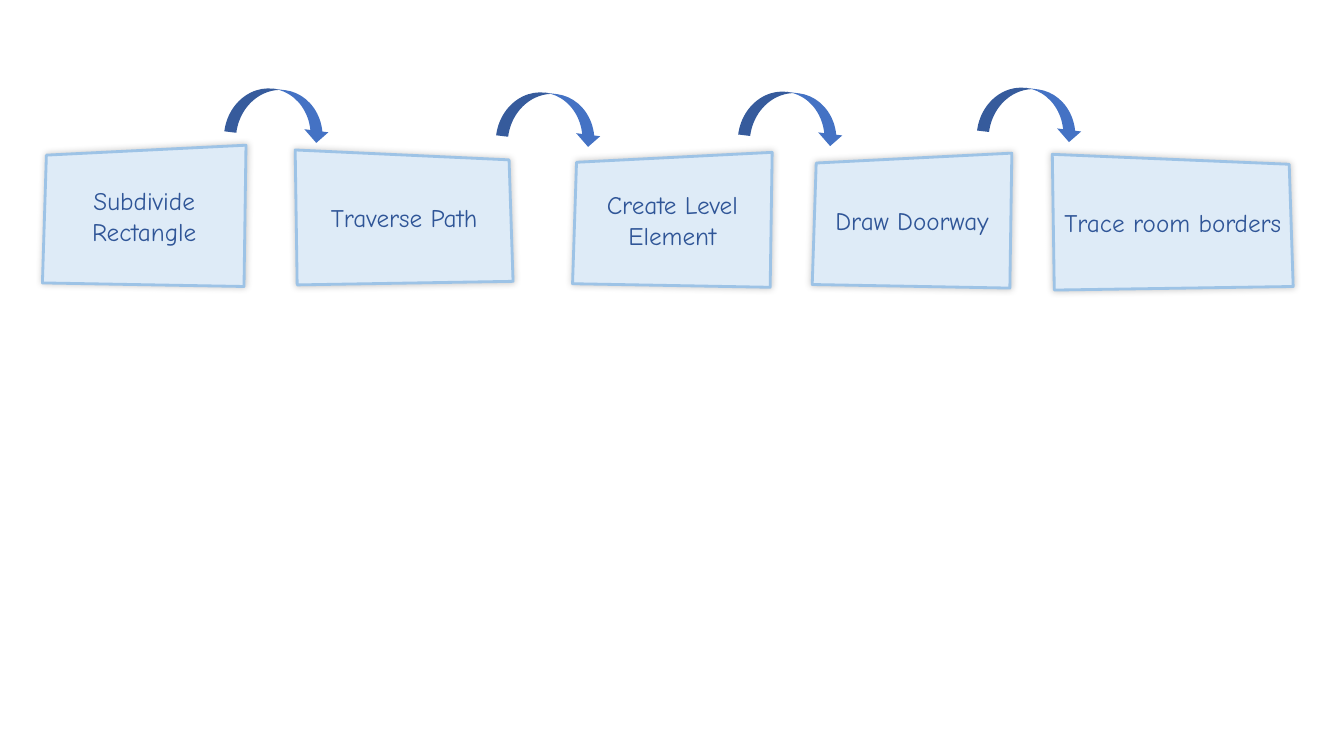
from lxml import etree
from pptx import Presentation
from pptx.dml.color import RGBColor
from pptx.enum.shapes import MSO_SHAPE
from pptx.enum.text import MSO_ANCHOR, PP_ALIGN
from pptx.oxml.ns import qn
from pptx.util import Cm, Pt

CURVED_ARROW = MSO_SHAPE.CURVED_DOWN_ARROW
MIDDLE = MSO_ANCHOR.MIDDLE
CENTER = PP_ALIGN.CENTER
FONT = "Comic Neue"
COLORS = {
    "panel": "DEEBF7",
    "border": "9DC3E6",
    "text": "2F5597",
    "arrow": "4472C4",
    "shadow": "000000",
}
STEPS = [
    ("Subdivide Rectangle", 1.07, 3.66, 5.13, 3.56, False),
    ("Traverse Path", 7.44, 3.78, 5.49, 3.4, True),
    ("Create Level Element", 14.43, 3.84, 5.03, 3.4, False),
    ("Draw Doorway", 20.47, 3.86, 5.03, 3.4, False),
    ("Trace room borders", 26.52, 3.89, 6.07, 3.42, True),
]
ARROWS = [(5.72, 2.26), (12.57, 2.36), (18.67, 2.34), (24.69, 2.24)]


def color(name):
    """Return the named colour."""
    return RGBColor.from_string(COLORS[name])


def add_glow_shadow(shape):
    """Give the shape a soft shadow on all sides."""
    shape.shadow.inherit = False
    effects = shape._element.spPr.find(qn("a:effectLst"))
    shadow = etree.SubElement(effects, qn("a:outerShdw"), blurRad=str(Pt(5)), dist="0", dir="0")
    tone = etree.SubElement(shadow, qn("a:srgbClr"), val=COLORS["shadow"])
    etree.SubElement(tone, qn("a:alpha"), val="21000")


def add_panel(page, label, left, top, width, height, mirrored):
    """Draw a skewed panel with a label; mirrored panels are tall on the left."""
    corners = [(0.1, 0.25), (0, height - 0.09), (width - 0.05, height), (width, 0)]
    if mirrored:
        corners = [(width - x, y) for x, y in corners]
    points = [(Cm(left + x), Cm(top + y)) for x, y in corners]
    builder = page.shapes.build_freeform(*points[0])
    builder.add_line_segments(points[1:], close=True)
    panel = builder.convert_to_shape()
    panel.fill.solid()
    panel.fill.fore_color.rgb = color("panel")
    panel.line.color.rgb = color("border")
    panel.line.width = Pt(2)
    add_glow_shadow(panel)
    frame = panel.text_frame
    frame.text = label
    frame.word_wrap = True
    frame.vertical_anchor = MIDDLE
    para = frame.paragraphs[0]
    para.alignment = CENTER
    font = para.runs[0].font
    font.name = FONT
    font.size = Pt(18)
    font.color.rgb = color("text")


def add_arrow(page, left, top):
    """Draw a tilted curved arrow between two panels."""
    arrow = page.shapes.add_shape(CURVED_ARROW, Cm(left), Cm(top), Cm(2.64), Cm(1.22))
    arrow.rotation = 7.2
    arrow.shadow.inherit = False
    arrow.fill.solid()
    arrow.fill.fore_color.rgb = color("arrow")
    arrow.line.fill.background()


def main():
    """Build the slide and save it."""
    deck = Presentation()
    deck.slide_width = Cm(33.87)
    deck.slide_height = Cm(19.05)
    page = deck.slides.add_slide(deck.slide_layouts[6])
    for step in STEPS:
        add_panel(page, *step)
    for position in ARROWS:
        add_arrow(page, *position)
    deck.save("out.pptx")


if __name__ == "__main__":
    main()
